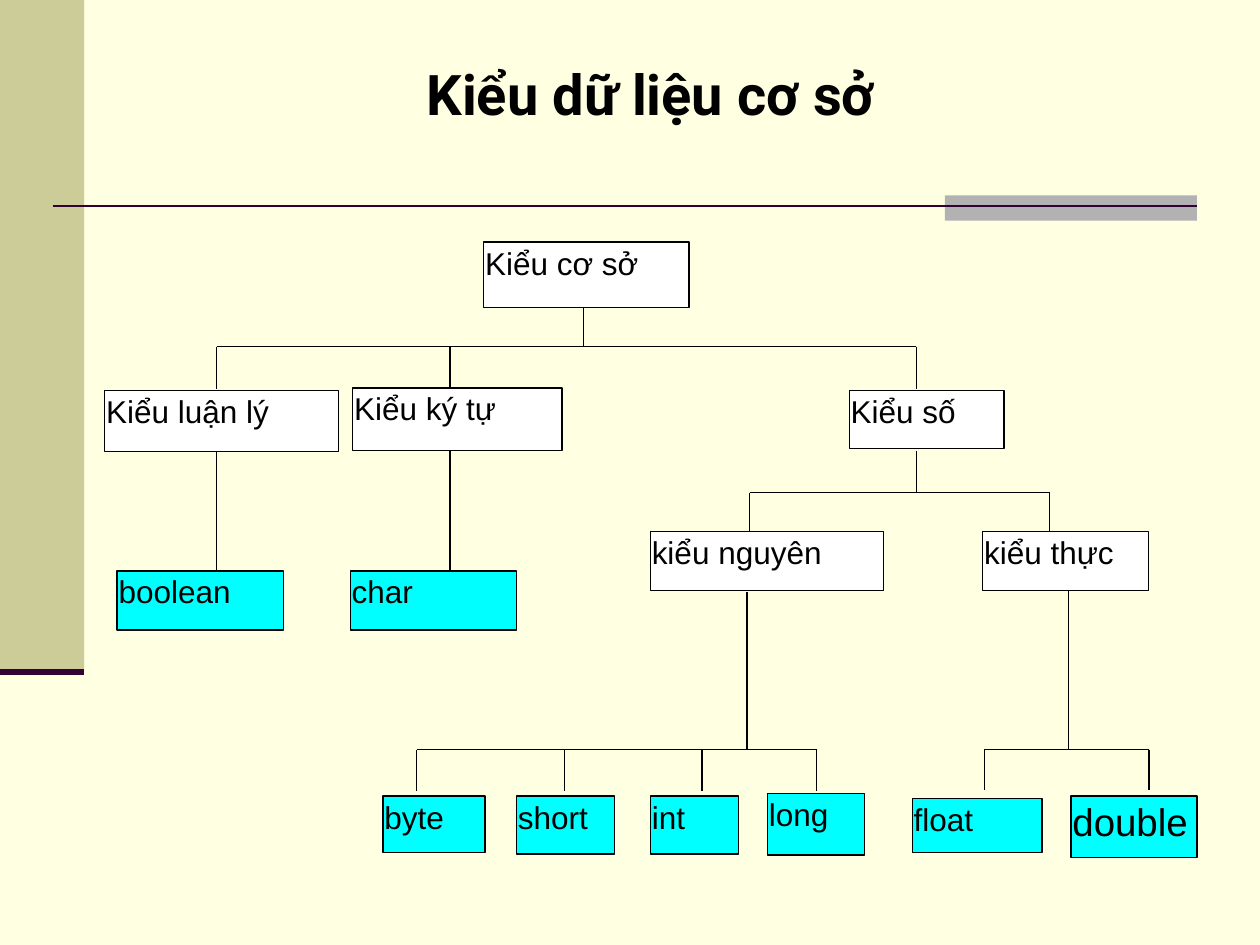
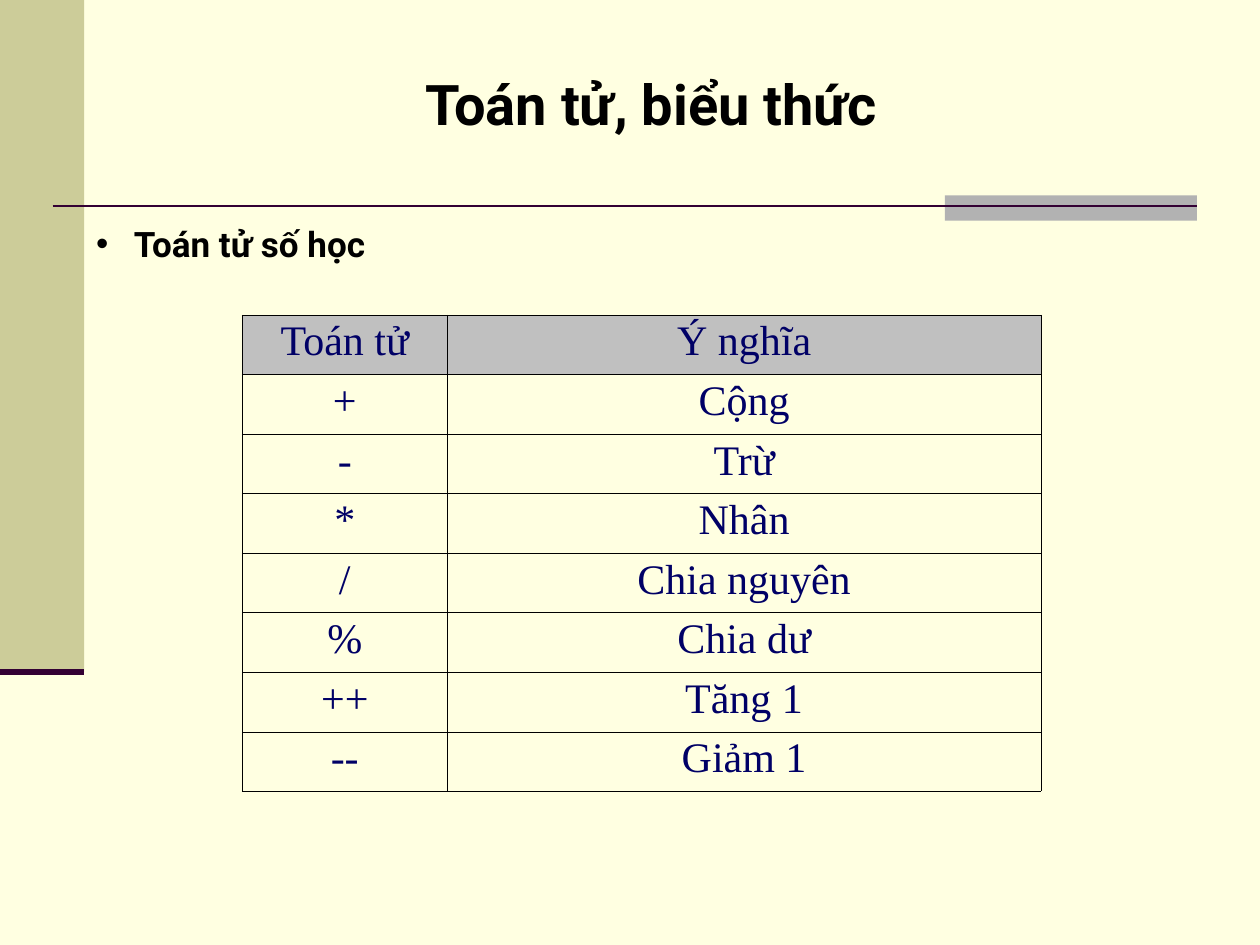
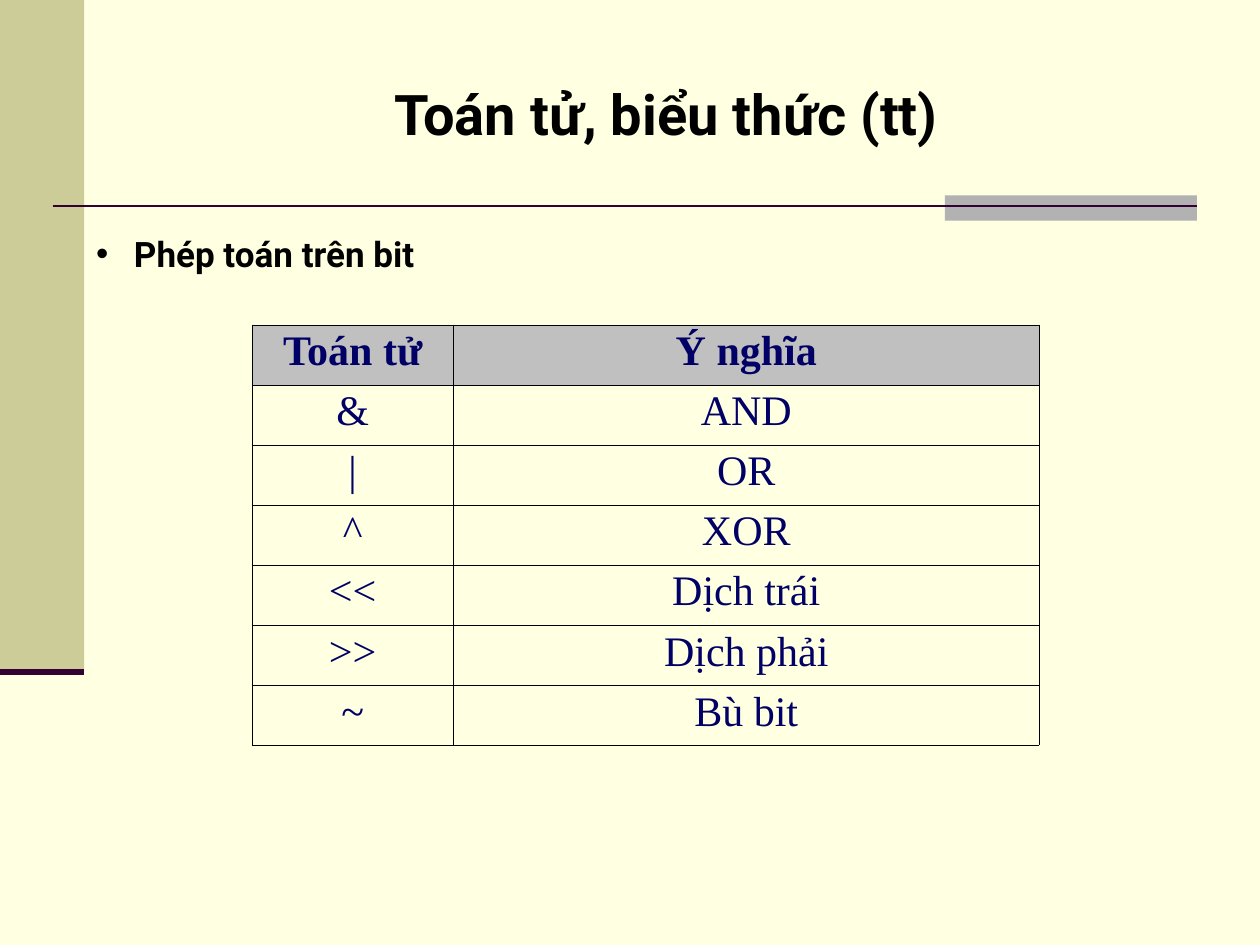
from lxml import etree
from pptx import Presentation
from pptx.dml.color import RGBColor
from pptx.enum.shapes import MSO_CONNECTOR, MSO_SHAPE
from pptx.enum.text import MSO_ANCHOR, MSO_AUTO_SIZE, PP_ALIGN
from pptx.oxml.ns import qn
from pptx.util import Cm, Pt

RECT, STRAIGHT = MSO_SHAPE.RECTANGLE, MSO_CONNECTOR.STRAIGHT
TOP, NO_FIT = MSO_ANCHOR.TOP, MSO_AUTO_SIZE.NONE
LEFT, CENTER = PP_ALIGN.LEFT, PP_ALIGN.CENTER

CREAM = RGBColor(0xFF, 0xFF, 0xE1)
KHAKI = RGBColor(0xCC, 0xCC, 0x99)
GRAY = RGBColor(0xB2, 0xB2, 0xB2)
SILVER = RGBColor(0xC0, 0xC0, 0xC0)
PLUM = RGBColor(0x33, 0x00, 0x33)
NAVY = RGBColor(0x00, 0x00, 0x66)
CYAN = RGBColor(0x00, 0xFF, 0xFF)
WHITE = RGBColor(0xFF, 0xFF, 0xFF)
BLACK = RGBColor(0x00, 0x00, 0x00)

# Content: lengths in cm
TREE_TITLE = ("Kiểu dữ liệu cơ sở", (2.11, 1.07, 22.02, 1.63))

GROUPS = [  # label, left, top, width, height
    ("Kiểu cơ sở", 9.75, 4.88, 4.14, 1.32),
    ("Kiểu luận lý", 2.11, 7.87, 4.72, 1.24),
    ("Kiểu ký tự", 7.11, 7.82, 4.22, 1.27),
    ("Kiểu số", 17.12, 7.87, 3.12, 1.17),
    ("kiểu nguyên", 13.11, 10.72, 4.7, 1.19),
    ("kiểu thực", 19.81, 10.72, 3.35, 1.19),
]
TYPES = [
    ("boolean", 2.36, 11.51, 3.35, 1.19),
    ("char", 7.06, 11.51, 3.35, 1.19),
    ("byte", 7.72, 16.05, 2.06, 1.14),
    ("short", 10.41, 16.05, 1.98, 1.17),
    ("int", 13.11, 16.05, 1.78, 1.17),
    ("long", 15.47, 16, 1.96, 1.24),
    ("float", 18.39, 16.1, 2.62, 1.09),
    ("double", 21.59, 16.05, 2.54, 1.24),
]
LARGE_LABELS = {"double": 22}

BRANCHES = [  # trunk x, trunk top, bar y, drop xs, drop bottom
    (11.76, 6.2, 6.99, [4.37, 9.07, 18.47], 7.85),
    (18.47, 9.09, 9.93, [15.11, 21.16], 10.72),
    (15.06, 11.94, 15.11, [8.4, 11.38, 14.15, 16.46], 15.95),
    (21.54, 11.91, 15.11, [19.84, 23.16], 15.93),
]
STEMS = [(4.37, 9.1, 11.5), (9.07, 9.1, 11.5)]  # x, top, bottom

TABLE_SLIDES = [
    {
        "title": ("Toán tử, biểu thức", (2.34, 1.27, 21.59, 1.63)),
        "bullet": ("Toán tử số học", (1.91, 4.45, 22.1, 0.89)),
        "at": (4.88, 6.35), "cols": (4.14, 11.96), "row": 1.2,
        "bold_head": False,
        "rows": [("Toán tử", "Ý nghĩa"), ("+", "Cộng"), ("-", "Trừ"),
                 ("*", "Nhân"), ("/", "Chia nguyên"), ("%", "Chia dư"),
                 ("++", "Tăng 1"), ("--", "Giảm 1")],
    },
    {
        "title": ("Toán tử, biểu thức (tt)", (2.74, 1.47, 21.39, 1.63)),
        "bullet": ("Phép toán trên bit", (1.91, 4.65, 22.1, 0.89)),
        "at": (5.08, 6.55), "cols": (4.06, 11.81), "row": 1.21,
        "bold_head": True,
        "rows": [("Toán tử", "Ý nghĩa"), ("&", "AND"), ("|", "OR"),
                 ("^", "XOR"), ("<<", "Dịch trái"), (">>", "Dịch phải"),
                 ("~", "Bù bit")],
    },
]


# Helpers
def write(tf, text, font, size, color, bold=False, align=LEFT):
    tf.text = text
    p = tf.paragraphs[0]
    p.alignment = align
    f = p.runs[0].font
    f.name, f.size, f.bold = font, Pt(size), bold
    f.color.rgb = color
    return p


def set_margins(tf, x, y):
    tf.margin_left = tf.margin_right = Cm(x)
    tf.margin_top = tf.margin_bottom = Cm(y)


def add_box(shapes, at, fill, line=None):
    sp = shapes.add_shape(RECT, *map(Cm, at))
    sp.shadow.inherit = False
    sp.fill.solid()
    sp.fill.fore_color.rgb = fill
    if line is None:
        sp.line.fill.background()
    else:
        sp.line.color.rgb = line
        sp.line.width = Pt(0.74)
    return sp


def add_line(shapes, x1, y1, x2, y2, color=BLACK, width=0.74):
    line = shapes.add_connector(STRAIGHT, Cm(x1), Cm(y1), Cm(x2), Cm(y2))
    line.line.color.rgb = color
    line.line.width = Pt(width)
    etree.SubElement(line.element.spPr, qn("a:effectLst"))
    return line


def fill_placeholder(sp, text, at, size, margins, align):
    sp.left, sp.top, sp.width, sp.height = map(Cm, at)
    tf = sp.text_frame
    tf.word_wrap, tf.auto_size, tf.vertical_anchor = True, NO_FIT, TOP
    set_margins(tf, *margins)
    p = write(tf, text, "Roboto", size, BLACK, True, align)
    p.space_before = Pt(0)
    return p


def add_slide(layout, title):
    s = prs.slides.add_slide(prs.slide_layouts[layout])
    fill_placeholder(s.shapes.title, *title, 32, (0.25, 0.13), CENTER)
    return s


def add_bullet(s, text, at):
    p = fill_placeholder(s.placeholders[1], text, at, 20, (0.03, 0.03), LEFT)
    pPr = p._p.get_or_add_pPr()
    pPr.set("marL", str(Cm(0.76)))
    pPr.set("indent", str(-Cm(0.76)))
    etree.SubElement(pPr, qn("a:buFont"), typeface="Arial")
    etree.SubElement(pPr, qn("a:buChar"), char="•")


def add_borders(cell):
    tcPr = cell._tc.get_or_add_tcPr()
    for side in ("lnL", "lnR", "lnT", "lnB"):
        ln = etree.SubElement(tcPr, qn("a:" + side), w=str(Pt(0.23)))
        fill = etree.SubElement(ln, qn("a:solidFill"))
        etree.SubElement(fill, qn("a:srgbClr"), val=str(BLACK))


def add_operator_table(s, data):
    rows, cols, height = data["rows"], data["cols"], data["row"]
    table = s.shapes.add_table(
        len(rows), len(cols), *map(Cm, data["at"]),
        Cm(sum(cols)), Cm(height * len(rows))).table
    table.first_row = table.horz_banding = False
    for column, width in zip(table.columns, cols):
        column.width = Cm(width)
    for i, texts in enumerate(rows):
        table.rows[i].height = Cm(height)
        for j, text in enumerate(texts):
            cell = table.cell(i, j)
            set_margins(cell, 0.03, 0.13)
            p = write(cell.text_frame, text, "Times New Roman", 24, NAVY,
                      i == 0 and data["bold_head"], CENTER)
            p.line_spacing = 0.93
            add_borders(cell)
            if i == 0:
                cell.fill.solid()
                cell.fill.fore_color.rgb = SILVER
            else:
                cell.fill.background()


def decorate_master(s):
    """Draw the shared bands on a slide, then move them to the master."""
    bands = [
        add_box(s.shapes, (0, 0, 1.7, 13.55), KHAKI),
        add_box(s.shapes, (19.05, 3.94, 5.08, 0.51), GRAY),
        add_line(s.shapes, 1.06, 4.15, 24.13, 4.15, PLUM, 1.5),
        add_line(s.shapes, 0, 13.55, 1.7, 13.55, PLUM, 3.5),
    ]
    master = prs.slide_master
    master.background.fill.solid()
    master.background.fill.fore_color.rgb = CREAM
    for i, band in enumerate(bands):
        band.element.xpath(".//p:cNvPr")[0].set("id", str(101 + i))
        master.shapes.element.insert(2 + i, band.element)


prs = Presentation()
prs.slide_width, prs.slide_height = Cm(25.4), Cm(19.05)

# Slide 1: tree of the basic types
s = add_slide(5, TREE_TITLE)
decorate_master(s)
for nodes, fill in ((GROUPS, WHITE), (TYPES, CYAN)):
    for label, *at in nodes:
        tf = add_box(s.shapes, at, fill, BLACK).text_frame
        tf.word_wrap, tf.vertical_anchor = True, TOP
        set_margins(tf, 0.03, 0.03)
        write(tf, label, "Arial", LARGE_LABELS.get(label, 18), BLACK)
for x, top, bar, drops, bottom in BRANCHES:
    add_line(s.shapes, x, top, x, bar)
    add_line(s.shapes, drops[0], bar, drops[-1], bar)
    for drop in drops:
        add_line(s.shapes, drop, bar, drop, bottom)
for x, top, bottom in STEMS:
    add_line(s.shapes, x, top, x, bottom)

# Slides 2 and 3: operator tables
for data in TABLE_SLIDES:
    s = add_slide(1, data["title"])
    add_bullet(s, *data["bullet"])
    add_operator_table(s, data)

prs.save("out.pptx")
